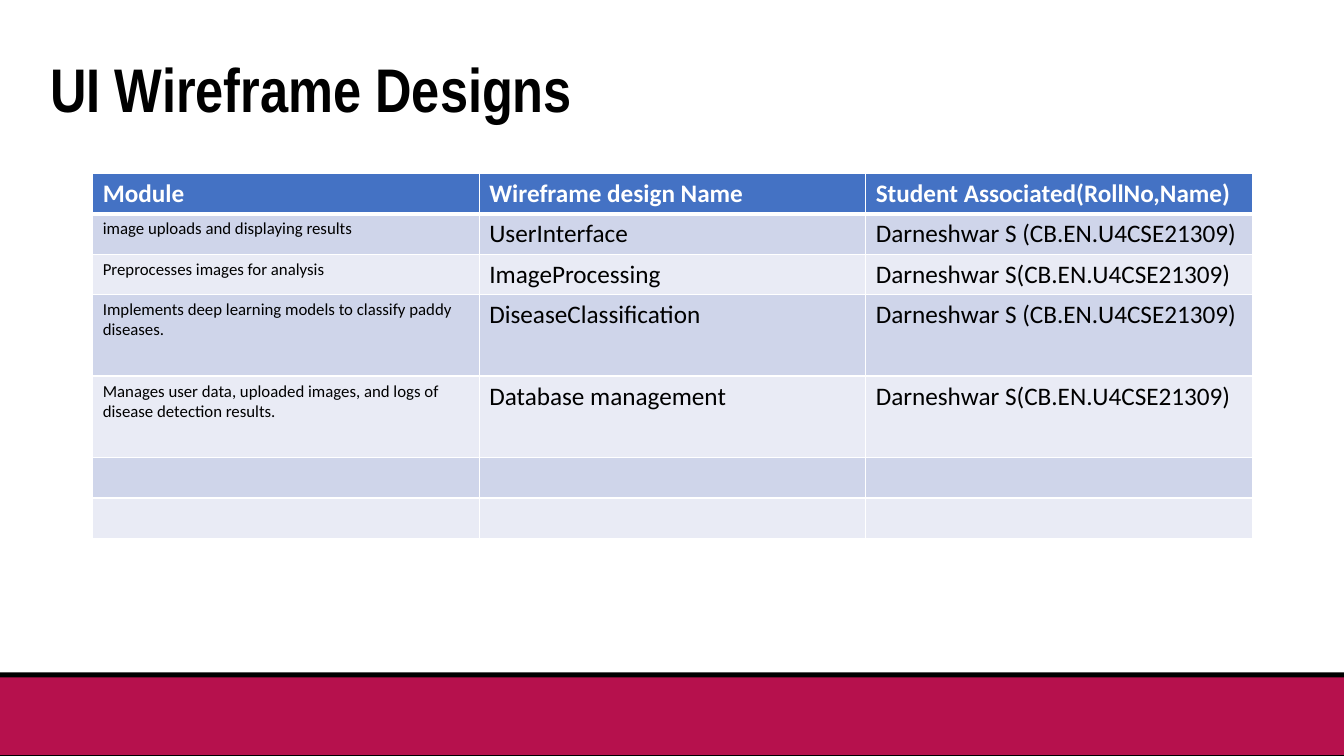
from dataclasses import dataclass

import pptx
import pptx.dml.color
import pptx.enum.shapes
import pptx.enum.text
import pptx.oxml
import pptx.oxml.ns
import pptx.util

Inches = pptx.util.Inches
COLORS = {
    "black": "000000",
    "white": "FFFFFF",
    "crimson": "B6114D",
    "header": "4472C4",
    "odd": "CFD5EA",
    "even": "E9EBF5",
}


@dataclass
class Bar:
    top: float
    height: float
    color: str


@dataclass
class Module:
    description: str = ""
    wireframe: str = ""
    student: str = ""
    height: float = 0.4


FOOTER_BARS = [Bar(6.67, 0.84, "black"), Bar(6.72, 0.77, "crimson")]
HEADINGS = Module("Module", "Wireframe design Name", "Student Associated(RollNo,Name)")
MODULES = [
    Module("image uploads and displaying results", "UserInterface",
           "Darneshwar S (CB.EN.U4CSE21309)"),
    Module("Preprocesses images for analysis", "ImageProcessing",
           "Darneshwar S(CB.EN.U4CSE21309)"),
    Module("Implements deep learning models to classify paddy diseases.",
           "DiseaseClassification", "Darneshwar S (CB.EN.U4CSE21309)", 0.81),
    Module("Manages user data, uploaded images, and logs of disease detection results.",
           "Database management", "Darneshwar S(CB.EN.U4CSE21309)", 0.81),
    Module(),
    Module(),
]


def rgb(name: str) -> pptx.dml.color.RGBColor:
    return pptx.dml.color.RGBColor.from_string(COLORS[name])


def style_font(font, name: str, size: int, color: str, bold: bool) -> None:
    font.name = name
    font.size = pptx.util.Pt(size)
    font.bold = bold
    font.color.rgb = rgb(color)


def draw_bar(page, bar: Bar) -> None:
    box = page.shapes.add_shape(
        pptx.enum.shapes.MSO_SHAPE.RECTANGLE,
        0, Inches(bar.top), Inches(13.33), Inches(bar.height))
    box.shadow.inherit = False
    box.fill.solid()
    box.fill.fore_color.rgb = rgb(bar.color)
    box.line.fill.background()


def add_borders(cell, widths: dict[str, int]) -> None:
    properties = cell._tc.get_or_add_tcPr()
    for side, points in widths.items():
        properties.append(pptx.oxml.parse_xml(
            f'<a:ln{side} {pptx.oxml.ns.nsdecls("a")} w="{pptx.util.Pt(points)}">'
            f'<a:solidFill><a:srgbClr val="{COLORS["white"]}"/></a:solidFill></a:ln{side}>'))


def draw_title(page) -> None:
    title = page.shapes.title
    title.left, title.top = Inches(0.4), Inches(0.46)
    title.width, title.height = Inches(6.67), Inches(0.84)
    frame = title.text_frame
    frame.text = "UI Wireframe Designs"
    frame.vertical_anchor = pptx.enum.text.MSO_ANCHOR.TOP
    frame.auto_size = pptx.enum.text.MSO_AUTO_SIZE.SHAPE_TO_FIT_TEXT
    para = frame.paragraphs[0]
    para.alignment = pptx.enum.text.PP_ALIGN.LEFT
    style_font(para.runs[0].font, "Arial Narrow", 44, "black", True)


def draw_table(page, modules: list[Module]) -> None:
    rows = [HEADINGS, *modules]
    table = page.shapes.add_table(
        len(rows), 3, Inches(0.92), Inches(1.72), Inches(11.5),
        Inches(sum(row.height for row in rows))).table
    for index, row in enumerate(rows):
        table.rows[index].height = Inches(row.height)
        is_header = index == 0
        fill = "header" if is_header else ("odd" if index % 2 else "even")
        # A thick rule separates the header from the modules
        widths = {"L": 1, "R": 1, "T": 3 if index == 1 else 1, "B": 3 if is_header else 1}
        for column, text in enumerate((row.description, row.wireframe, row.student)):
            cell = table.cell(index, column)
            add_borders(cell, widths)
            cell.fill.solid()
            cell.fill.fore_color.rgb = rgb(fill)
            cell.text = text
            size = 12 if text and column == 0 and not is_header else 18
            style_font(cell.text_frame.paragraphs[0].font, "Calibri", size,
                       "white" if is_header else "black", is_header)
            for span in cell.text_frame.paragraphs[0].runs:
                style_font(span.font, "Calibri", size,
                           "white" if is_header else "black", is_header)


def main() -> None:
    deck = pptx.Presentation()
    deck.slide_width, deck.slide_height = Inches(13.33), Inches(7.5)
    page = deck.slides.add_slide(deck.slide_layouts.get_by_name("Title Only"))
    # Footer band
    for bar in FOOTER_BARS:
        draw_bar(page, bar)
    # Title and wireframe table
    draw_title(page)
    draw_table(page, MODULES)
    deck.save("out.pptx")


if __name__ == "__main__":
    main()
